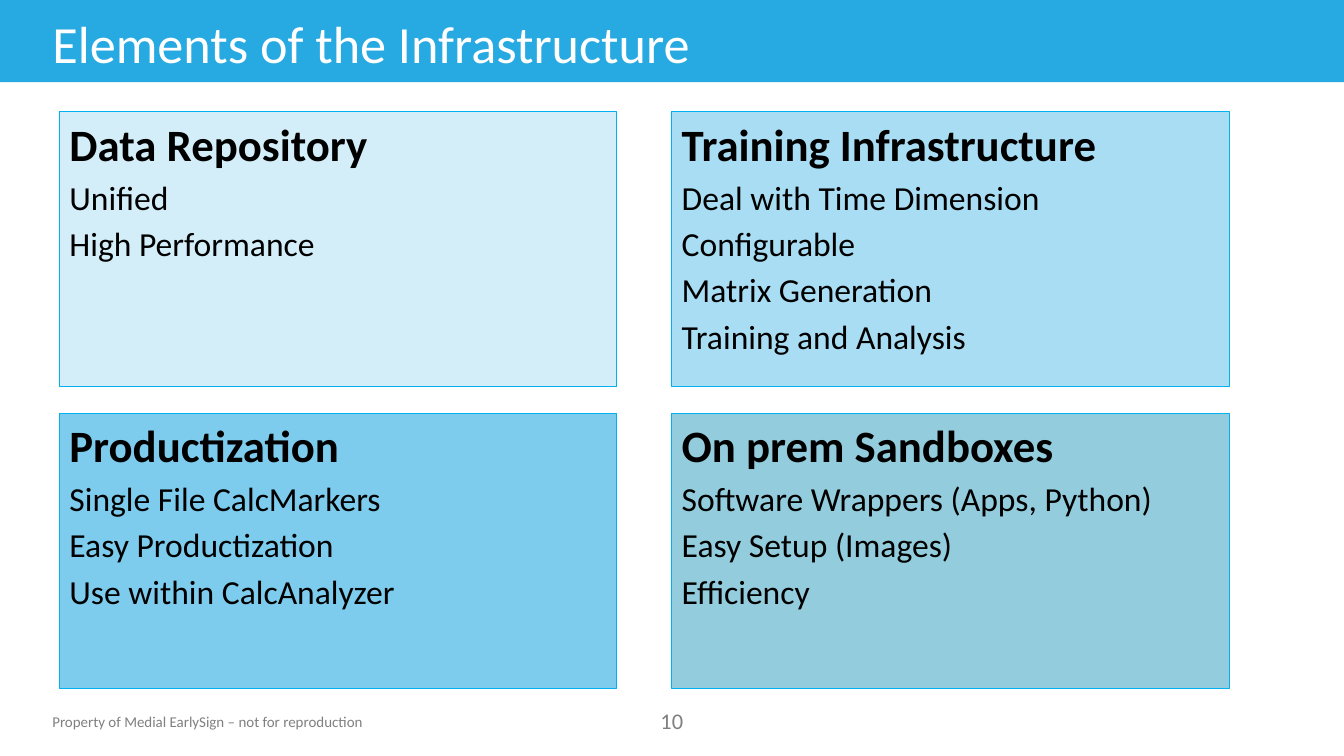
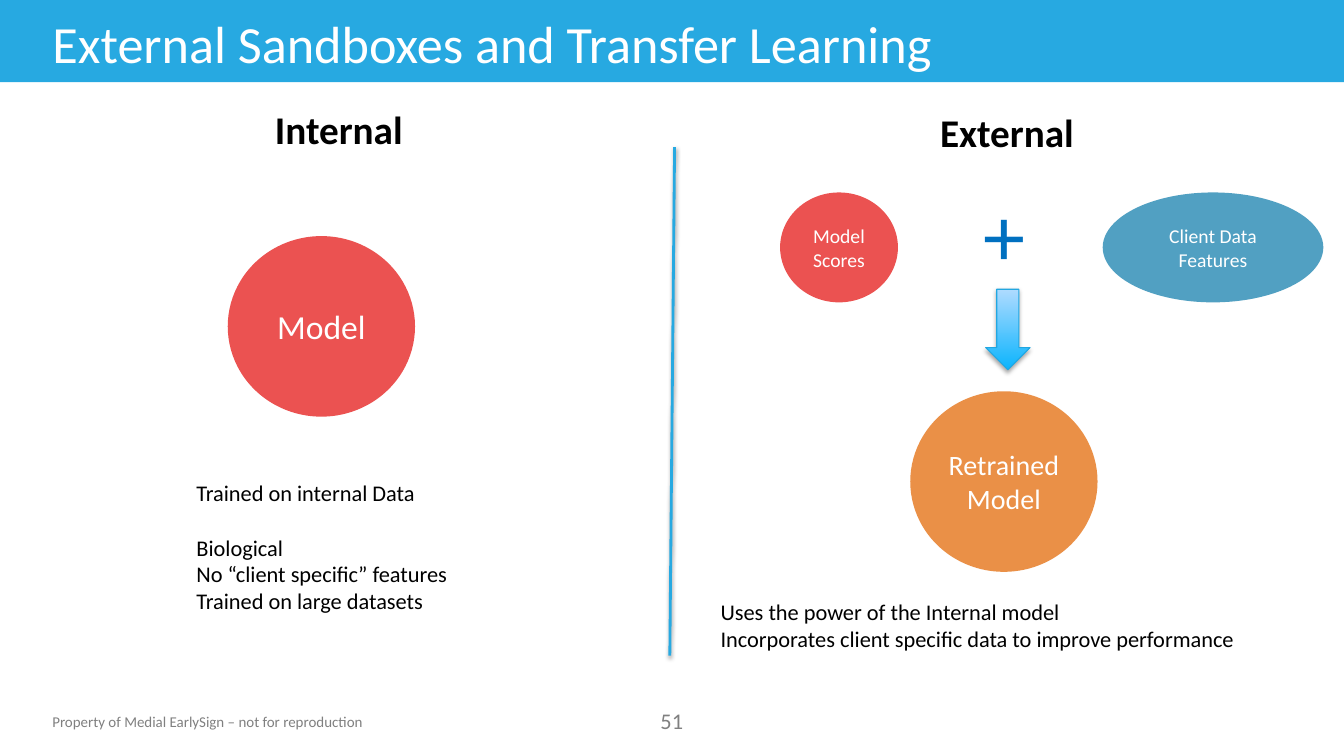
from dataclasses import dataclass

from lxml.etree import SubElement
from pptx import Presentation
from pptx.dml.color import RGBColor
from pptx.enum.shapes import MSO_CONNECTOR, MSO_SHAPE
from pptx.enum.text import MSO_ANCHOR, PP_ALIGN
from pptx.oxml.ns import qn
from pptx.util import Cm, Pt


@dataclass(frozen=True)
class Theme:
    font: str = "Calibri"
    band: str = "27A9E1"
    white: str = "FFFFFF"
    black: str = "000000"
    footer: str = "808080"
    card_line: str = "00B0F0"
    plus: str = "0070C0"
    internal: str = "E51917"
    client: str = "1881AE"
    retrained: str = "E46C0A"
    arrow_start: str = "0BB4FD"
    arrow_end: str = "AFDBFF"
    arrow_line: str = "22A7E1"
    opacity: int = 75
    title_size: float = 37.3
    footer_size: float = 10.7
    number_size: float = 16
    card_title_size: float = 32
    card_item_size: float = 24
    heading_size: float = 28
    body_size: float = 16
    plus_size: float = 60


theme = Theme()


def write(shape, lines, size, color, bold=False,
          align=PP_ALIGN.LEFT, anchor=MSO_ANCHOR.TOP):
    """Fill a shape with one paragraph per line and return the paragraphs."""
    frame = shape.text_frame
    frame.text = "\n".join(lines)
    frame.word_wrap = True
    frame.vertical_anchor = anchor
    for paragraph in frame.paragraphs:
        paragraph.alignment = align
        for run in paragraph.runs:
            run.font.name = theme.font
            run.font.size = Pt(size)
            run.font.bold = bold
            run.font.color.rgb = RGBColor.from_string(color)
    return frame.paragraphs


def add_shadow(properties, opacity):
    """Append a soft downward shadow to the shape properties element."""
    effects = properties.find(qn("a:effectLst"))
    if effects is None:
        effects = SubElement(properties, qn("a:effectLst"))
    shadow = SubElement(effects, qn("a:outerShdw"), blurRad=str(Pt(3.1)),
                        dist=str(Pt(1.7)), dir="5400000", rotWithShape="0")
    color = SubElement(shadow, qn("a:srgbClr"), val=theme.black)
    SubElement(color, qn("a:alpha"), val=str(opacity * 1000))


presentation = Presentation()
presentation.slide_width = Cm(33.87)
presentation.slide_height = Cm(19.05)

# Title band, footer and page number on both slides
slides = []
for title, number in (("Elements of the Infrastructure", "10"),
                      ("External Sandboxes and Transfer Learning", "51")):
    slide = presentation.slides.add_slide(presentation.slide_layouts[6])
    slides.append(slide)
    band = slide.shapes.add_shape(MSO_SHAPE.RECTANGLE, 0, 0,
                                  presentation.slide_width, Cm(2.07))
    band.shadow.inherit = False
    band.fill.solid()
    band.fill.fore_color.rgb = RGBColor.from_string(theme.band)
    band.line.fill.background()
    title_box = slide.shapes.add_textbox(Cm(1.07), Cm(0.15), Cm(28.2), Cm(1.85))
    write(title_box, [title], theme.title_size, theme.white,
          anchor=MSO_ANCHOR.MIDDLE)
    footer = slide.shapes.add_textbox(Cm(1.07), Cm(17.83), Cm(9), Cm(0.71))
    write(footer, ["Property of Medial EarlySign – not for reproduction"],
          theme.footer_size, theme.footer)
    number_box = slide.shapes.add_textbox(Cm(15.9), Cm(17.7), Cm(2.06), Cm(0.94))
    write(number_box, [number], theme.number_size, theme.footer,
          align=PP_ALIGN.CENTER)

infrastructure, sandboxes = slides

# Infrastructure: two by two grid of cards
cards = (
    ("D4EEF9", "Data Repository", "Unified", "High Performance"),
    ("A9DDF3", "Training Infrastructure", "Deal with Time Dimension",
     "Configurable", "Matrix Generation", "Training and Analysis"),
    ("7DCBED", "Productization", "Single File CalcMarkers",
     "Easy Productization", "Use within CalcAnalyzer"),
    ("93CDDD", "On prem Sandboxes", "Software Wrappers (Apps, Python)",
     "Easy Setup (Images)", "Efficiency"),
)
for index, (fill, *lines) in enumerate(cards):
    row, column = divmod(index, 2)
    card = infrastructure.shapes.add_shape(
        MSO_SHAPE.RECTANGLE, Cm(1.5 + 15.43 * column), Cm(2.82 + 7.59 * row),
        Cm(14.05), Cm(6.93))
    card.shadow.inherit = False
    card.fill.solid()
    card.fill.fore_color.rgb = RGBColor.from_string(fill)
    card.line.color.rgb = RGBColor.from_string(theme.card_line)
    card.line.width = Pt(0.75)
    heading, *items = write(card, lines, theme.card_item_size, theme.black)
    heading.runs[0].font.size = Pt(theme.card_title_size)
    heading.runs[0].font.bold = True
    for item in items:
        item.space_before = Pt(4.3)

# Sandboxes: divider between the internal and external halves
divider = sandboxes.shapes.add_connector(
    MSO_CONNECTOR.STRAIGHT, Cm(17), Cm(3.71), Cm(16.88), Cm(16.52))
divider.line.color.rgb = RGBColor.from_string(theme.band)
divider.line.width = Pt(2)
add_shadow(divider.element.spPr, 38)

for text, left, top in (("Internal", 6.68, 2.54), ("External", 23.44, 2.6)):
    heading = sandboxes.shapes.add_textbox(Cm(left), Cm(top), Cm(4.2), Cm(1.45))
    write(heading, [text], theme.heading_size, theme.black, bold=True)

internal_notes = sandboxes.shapes.add_textbox(Cm(4.7), Cm(11.96), Cm(8), Cm(3.76))
paragraphs = write(internal_notes, [
    "Trained on internal Data", "Biological",
    "No “client specific” features", "Trained on large datasets",
], theme.body_size, theme.black)
paragraphs[1].space_before = Pt(19.5)

external_notes = sandboxes.shapes.add_textbox(Cm(17.91), Cm(14.94), Cm(14), Cm(1.63))
write(external_notes, [
    "Uses the power of the Internal model",
    "Incorporates client specific data to improve performance",
], theme.body_size, theme.black)

plus = sandboxes.shapes.add_textbox(Cm(24.54), Cm(4.47), Cm(1.55), Cm(2.82))
write(plus, ["+"], theme.plus_size, theme.plus)

ellipses = (
    (["Model"], 24, theme.internal, 5.74, 5.95, 4.72, 4.55),
    (["Model", "Scores"], 14, theme.internal, 19.66, 4.85, 2.97, 2.77),
    (["Client Data", "Features"], 14, theme.client, 27.79, 4.85, 5.56, 2.77),
    (["Retrained", "Model"], 20, theme.retrained, 22.94, 9.86, 4.72, 4.55),
)
for lines, size, color, left, top, width, height in ellipses:
    ellipse = sandboxes.shapes.add_shape(
        MSO_SHAPE.OVAL, Cm(left), Cm(top), Cm(width), Cm(height))
    ellipse.shadow.inherit = False
    ellipse.fill.solid()
    ellipse.fill.fore_color.rgb = RGBColor.from_string(color)
    fill_color = ellipse.element.spPr.find(qn("a:solidFill")).find(qn("a:srgbClr"))
    SubElement(fill_color, qn("a:alpha"), val=str(theme.opacity * 1000))
    ellipse.line.fill.background()
    write(ellipse, lines, size, theme.white,
          align=PP_ALIGN.CENTER, anchor=MSO_ANCHOR.MIDDLE)

arrow = sandboxes.shapes.add_shape(
    MSO_SHAPE.DOWN_ARROW, Cm(24.84), Cm(7.29), Cm(1.12), Cm(2.03))
arrow.fill.gradient()
arrow.fill.gradient_angle = 90
for stop, position, color in zip(arrow.fill.gradient_stops, (0, 1),
                                 (theme.arrow_start, theme.arrow_end)):
    stop.position = position
    stop.color.rgb = RGBColor.from_string(color)
arrow.line.color.rgb = RGBColor.from_string(theme.arrow_line)
arrow.line.width = Pt(0.75)
arrow.shadow.inherit = False
add_shadow(arrow.element.spPr, 35)

presentation.save("out.pptx")
